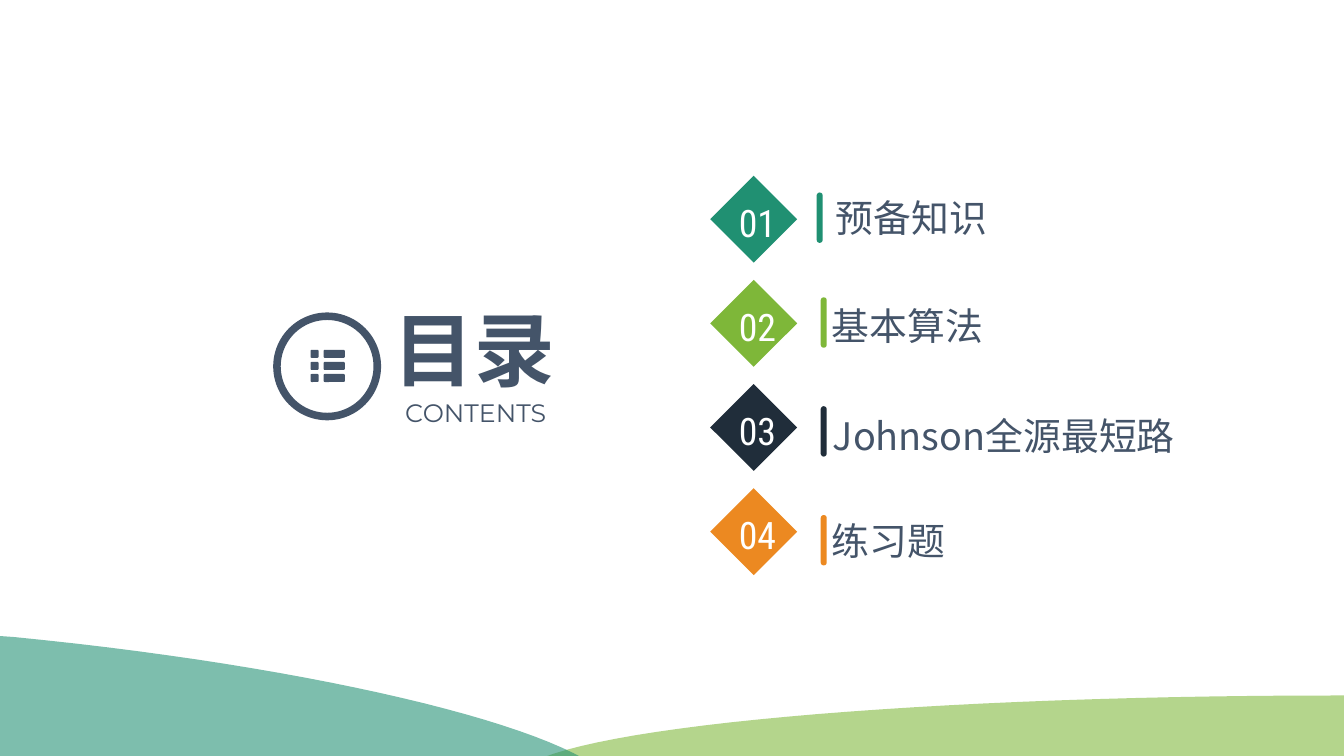
from lxml.etree import SubElement
from pptx import Presentation
from pptx.dml.color import RGBColor
from pptx.enum.shapes import MSO_SHAPE as Preset
from pptx.enum.text import MSO_ANCHOR as Anchor, MSO_AUTO_SIZE as AutoSize, PP_ALIGN as Align
from pptx.oxml.ns import qn
from pptx.util import Inches, Pt

CJK_FONT = "Noto Sans CJK SC"
SLATE = "445469"
TEAL = "209072"
GREEN = "7EB739"
ENTRIES = [
    ("预备知识", TEAL, 8.17, 1.87, 8.10, 1.91),
    ("基本算法", GREEN, 8.13, 2.94, 8.14, 2.95),
    ("Johnson全源最短路", "202D3A", 8.14, 4.03, 8.14, 4.03),
    ("练习题", "EC8921", 8.13, 5.08, 8.14, 5.11),
]
GREEN_CURVES = [
    [(13.3, 8.56), (8.78, 8.56), (5.12, 8.18), (5.12, 7.73)],
    [(5.12, 7.73), (5.12, 7.26), (8.78, 6.9), (13.3, 6.9)],
]
GREEN_EDGE = [(13.67, 6.9), (13.67, 8.56)]
TEAL_CURVES = [
    [(0.14, 6.32), (3.51, 6.65), (6.18, 7.36), (6.13, 7.9)],
    [(6.13, 7.9), (6.08, 8.45), (3.31, 8.62), (-0.05, 8.29)],
]
TEAL_EDGE = [(-0.33, 8.27), (-0.14, 6.3)]


def paint(shape, color):
    """Give a shape a plain fill without outline or shadow."""
    shape.fill.solid()
    shape.fill.fore_color.rgb = RGBColor.from_string(color)
    shape.line.fill.background()
    shape.shadow.inherit = False


def add_block(slide, preset, box, color, rounding=(), rotation=0):
    """Add a filled preset shape."""
    shape = slide.shapes.add_shape(preset, *map(Inches, box))
    paint(shape, color)
    for index, value in enumerate(rounding):
        shape.adjustments[index] = value
    shape.rotation = rotation
    return shape


def bezier_points(curve, steps=32):
    """Return points along a cubic curve, its start excluded."""
    points = []
    for step in range(1, steps + 1):
        t = step / steps
        weights = ((1 - t) ** 3, 3 * t * (1 - t) ** 2, 3 * t * t * (1 - t), t ** 3)
        points.append(tuple(sum(w * p[axis] for w, p in zip(weights, curve)) for axis in (0, 1)))
    return points


def add_wave(slide, curves, edge, color):
    """Add a translucent wave bounded by curves and a straight edge."""
    outline = [point for curve in curves for point in bezier_points(curve)] + edge
    builder = slide.shapes.build_freeform(*map(Inches, curves[0][0]))
    builder.add_line_segments([(Inches(x), Inches(y)) for x, y in outline], close=True)
    wave = builder.convert_to_shape()
    paint(wave, color)
    SubElement(wave.fill._xPr.find(".//" + qn("a:srgbClr")), qn("a:alpha"), val="58000")


def write_text(shape, text, size, font, color, align=Align.LEFT, insets=(0.1, 0.05), wrap=True, bold=False):
    """Fill a shape with one formatted run."""
    frame = shape.text_frame
    frame.word_wrap = wrap
    frame.auto_size = AutoSize.SHAPE_TO_FIT_TEXT
    frame.vertical_anchor = Anchor.TOP
    frame.margin_left = frame.margin_right = Inches(insets[0])
    frame.margin_top = frame.margin_bottom = Inches(insets[1])
    paragraph = frame.paragraphs[0]
    paragraph.alignment = align
    run = paragraph.add_run()
    run.text = text
    run.font.size = Pt(size)
    run.font.bold = bold
    run.font.name = font
    run.font.color.rgb = RGBColor.from_string(color)
    SubElement(run.font._element, qn("a:ea"), typeface=font)


def add_text(slide, box, *args, **options):
    """Add a text box with one formatted run."""
    write_text(slide.shapes.add_textbox(*map(Inches, box)), *args, **options)


def add_entry(slide, index, label, color, label_left, label_top, bar_left, bar_top):
    """Add a contents entry: label, bar and numbered diamond."""
    top = 1.87 + index * 3.1 / 3
    add_text(slide, (label_left, label_top, 5.5, 0.58), label, 27, CJK_FONT, SLATE,
             align=Align.JUSTIFY, insets=(0.12, 0.06))
    add_block(slide, Preset.ROUND_2_SAME_RECTANGLE, (bar_left, bar_top, 0.06, 0.5), color, (0.5, 0.5))
    add_block(slide, Preset.RECTANGLE, (7.17, top, 0.61, 0.61), color, rotation=45)
    add_text(slide, (7.23, top + 0.06, 0.64, 0.56), f"{index + 1:02}", 27, "Roboto Condensed", "FFFFFF")


def add_list_icon(slide):
    """Add the ring with three list rows inside."""
    add_block(slide, Preset.DONUT, (2.71, 3.1, 1.07, 1.07), SLATE, (0.07,))
    for left, width in ((3.08, 0.08), (3.21, 0.21)):
        for row in range(3):
            add_block(slide, Preset.ROUNDED_RECTANGLE, (left, 3.47 + 0.12 * row, width, 0.08), SLATE, (0.15,))


def add_title(slide):
    """Place the heading and its subtitle."""
    title = slide.shapes.title
    title.left, title.top, title.width, title.height = map(Inches, (3.9, 2.98, 1.61, 0.97))
    write_text(title, "目录", 57.5, CJK_FONT, SLATE, align=Align.CENTER, insets=(0, 0), wrap=False, bold=True)
    add_text(slide, (3.92, 3.89, 1.7, 0.71), "CONTENTS", 18, "Montserrat", SLATE)


def main():
    """Build the contents slide."""
    presentation = Presentation()
    presentation.slide_width, presentation.slide_height = Inches(13.33), Inches(7.5)
    slide = presentation.slides.add_slide(presentation.slide_layouts[5])
    add_wave(slide, GREEN_CURVES, GREEN_EDGE, GREEN)
    add_wave(slide, TEAL_CURVES, TEAL_EDGE, TEAL)
    for index, entry in enumerate(ENTRIES):
        add_entry(slide, index, *entry)
    add_list_icon(slide)
    add_title(slide)
    presentation.save("out.pptx")


main()
